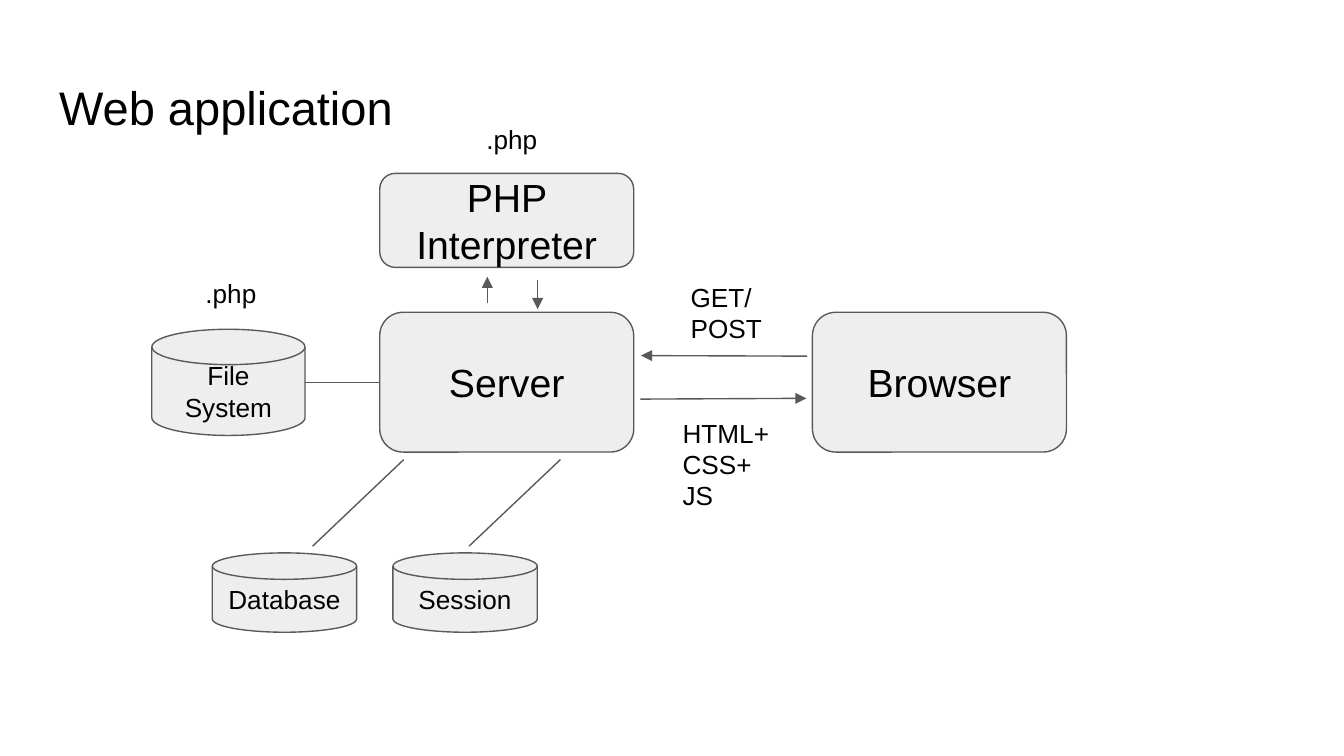
from dataclasses import dataclass
from lxml import etree
from pptx import Presentation
from pptx import util as u
from pptx.dml.color import RGBColor
from pptx.enum import shapes, text
from pptx.oxml.ns import qn

HUES = {"fill": "EEEEEE", "line": "595959", "ink": "000000"}
FONT = "Arial"
COLS = 100
ROWS = COLS * 9 / 16
BOX = shapes.MSO_SHAPE.ROUNDED_RECTANGLE
DISK = shapes.MSO_SHAPE.FLOWCHART_MAGNETIC_DISK


@dataclass(frozen=True)
class Node:
    kind: shapes.MSO_SHAPE
    label: str
    x: float
    y: float
    w: float
    h: float
    size: float


@dataclass(frozen=True)
class Label:
    lines: tuple[str, ...]
    x: float
    y: float
    w: float
    h: float
    size: float = 14


@dataclass(frozen=True)
class Link:
    x1: float
    y1: float
    x2: float
    y2: float
    arrow: bool = False


deck = Presentation()
deck.slide_width = u.Inches(10)
deck.slide_height = u.Emu(deck.slide_width * 9 // 16)
slide = deck.slides.add_slide(deck.slide_layouts[6])


def across(cols: float) -> int:
    return round(deck.slide_width * cols / COLS)


def down(rows: float) -> int:
    return round(deck.slide_height * rows / ROWS)


def area(item: Node | Label) -> tuple[int, int, int, int]:
    return across(item.x), down(item.y), across(item.w), down(item.h)


def tint(key: str) -> RGBColor:
    return RGBColor.from_string(HUES[key])


def trace(line) -> None:
    line.color.rgb = tint("line")
    line.width = u.Pt(0.75)


def write(frame, lines: tuple[str, ...], size: float, align, anchor) -> None:
    frame.word_wrap = True
    frame.vertical_anchor = anchor
    frame.margin_left = frame.margin_right = u.Inches(0.1)
    frame.margin_top = frame.margin_bottom = u.Inches(0.1)
    for i, line in enumerate(lines):
        para = frame.add_paragraph() if i else frame.paragraphs[0]
        para.alignment = align
        run = para.add_run()
        run.text = line
        run.font.name = FONT
        run.font.size = u.Pt(size)
        run.font.color.rgb = tint("ink")


def draw_node(node: Node) -> None:
    shape = slide.shapes.add_shape(node.kind, *area(node))
    shape.shadow.inherit = False
    shape.fill.solid()
    shape.fill.fore_color.rgb = tint("fill")
    trace(shape.line)
    write(shape.text_frame, (node.label,), node.size,
          text.PP_ALIGN.CENTER, text.MSO_ANCHOR.MIDDLE)


def draw_label(label: Label) -> None:
    box = slide.shapes.add_textbox(*area(label))
    write(box.text_frame, label.lines, label.size,
          text.PP_ALIGN.LEFT, text.MSO_ANCHOR.TOP)


def draw_link(link: Link) -> None:
    line = slide.shapes.add_connector(
        shapes.MSO_CONNECTOR.STRAIGHT,
        across(link.x1), down(link.y1), across(link.x2), down(link.y2))
    trace(line.line)
    if link.arrow:
        etree.SubElement(line.line._get_or_add_ln(), qn("a:tailEnd"), type="triangle")
    etree.SubElement(line._element.spPr, qn("a:effectLst"))


NODES = [
    Node(BOX, "Server", 28.25, 23.24, 18.9, 10.4, 21),
    Node(BOX, "Browser", 60.45, 23.24, 18.9, 10.4, 21),
    Node(BOX, "PHP Interpreter", 28.25, 12.9, 18.9, 7, 21),
    Node(DISK, "Database", 15.8, 41.14, 10.74, 5.9, 14),
    Node(DISK, "Session", 29.24, 41.14, 10.74, 5.9, 14),
    Node(DISK, "File System", 11.3, 24.5, 11.4, 7.9, 14),
]
LABELS = [
    Label(("Web application",), 3.41, 4.86, 93.2, 6.3, 25.2),
    Label(("GET/POST",), 50.4, 19.94, 7.6, 6.7),
    Label(("HTML+", "CSS+", "JS"), 49.8, 30.02, 8.8, 9.1),
    Label((".php",), 14.3, 19.64, 6.2, 4.4),
    Label((".php",), 35.2, 8.2, 6.2, 4.4),
]
LINKS = [
    Link(60.06, 26.5, 47.7, 26.46, True),
    Link(47.64, 29.7, 60, 29.64, True),
    Link(40, 20.8, 40, 23, True),
    Link(36.26, 22.56, 36.26, 20.6, True),
    Link(22.7, 28.46, 28.26, 28.46),
    Link(23.26, 40.64, 30.04, 34.2),
    Link(34.9, 40.64, 41.7, 34.2),
]

for draw, items in ((draw_node, NODES), (draw_label, LABELS), (draw_link, LINKS)):
    for item in items:
        draw(item)

deck.save("out.pptx")
